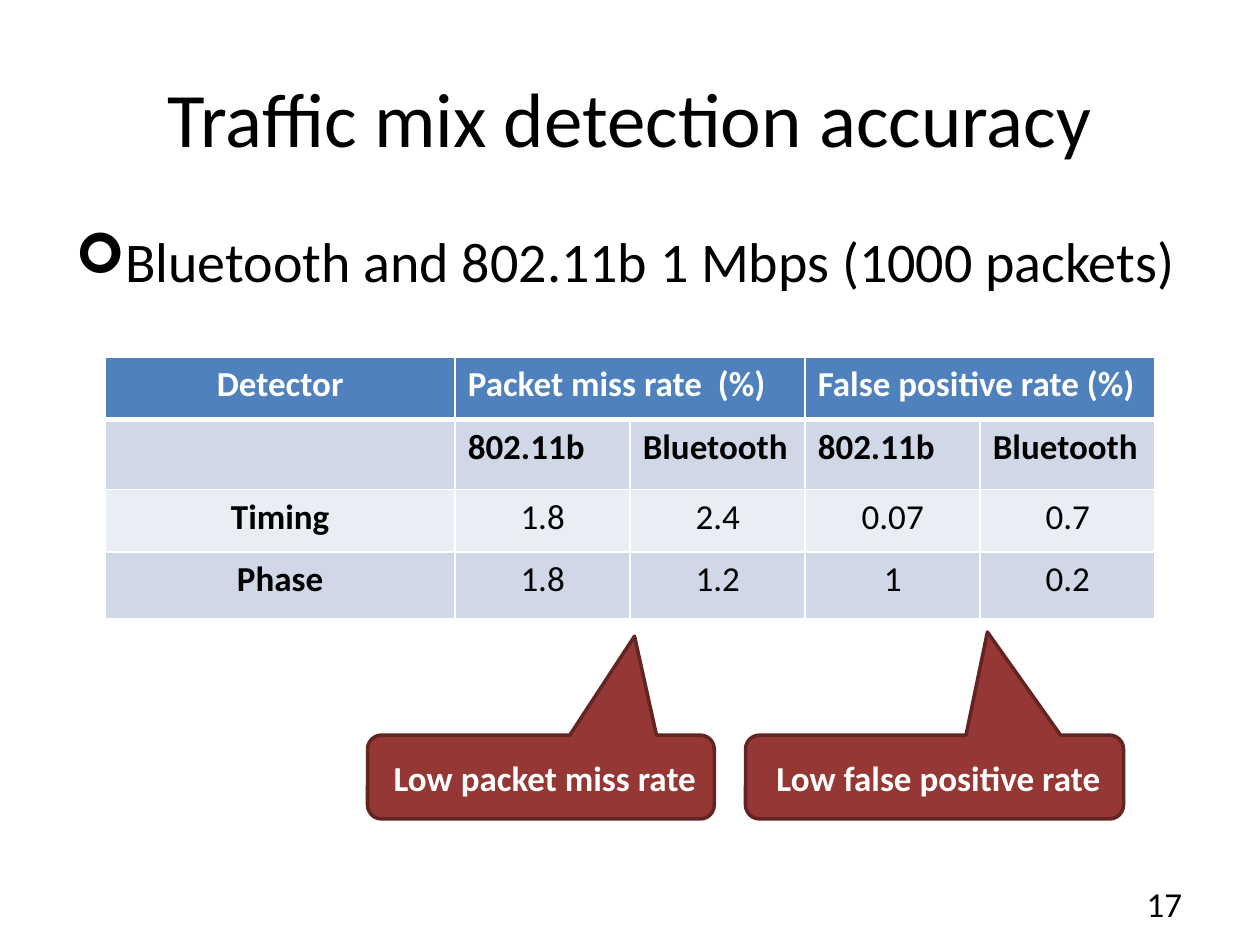
from lxml.etree import SubElement
from pptx import Presentation
from pptx.dml.color import RGBColor
from pptx.enum.shapes import MSO_SHAPE as Shape
from pptx.enum.text import MSO_ANCHOR as Anchor, PP_ALIGN as Align
from pptx.oxml.ns import qn
from pptx.util import Cm, Pt

FONT = "Calibri"
BLACK = RGBColor(0x00, 0x00, 0x00)
WHITE = RGBColor(0xFF, 0xFF, 0xFF)
HEADER_BLUE = RGBColor(0x4F, 0x81, 0xBD)
BAND_DARK = RGBColor(0xD0, 0xD8, 0xE8)
BAND_LIGHT = RGBColor(0xE9, 0xED, 0xF4)
CALLOUT_RED = RGBColor(0x95, 0x37, 0x35)
CALLOUT_EDGE = RGBColor(0x63, 0x25, 0x23)

HEADER = ["Detector", "Packet miss rate  (%)", "", "False positive rate (%)", ""]
SUBHEADER = ["", "802.11b", "Bluetooth", "802.11b", "Bluetooth"]
RESULTS = [
    ["Timing", "1.8", "2.4", "0.07", "0.7"],
    ["Phase", "1.8", "1.2", "1", "0.2"],
]
ROW_HEIGHTS = [1.26, 1.41, 1.26, 1.35]
ROW_FILLS = [HEADER_BLUE, BAND_DARK, BAND_LIGHT, BAND_DARK]


def write(frame, text, size, color=BLACK, bold=False, align=Align.LEFT):
    """Put one formatted run in the first paragraph of a text frame."""
    para = frame.paragraphs[0]
    para.alignment = align
    span = para.add_run()
    span.text = text
    span.font.name = FONT
    span.font.size = Pt(size)
    span.font.bold = bold
    span.font.color.rgb = color
    return para


def add_text(page, box, text, size, align=Align.LEFT, anchor=Anchor.TOP):
    frame = page.shapes.add_textbox(*map(Cm, box)).text_frame
    frame.word_wrap = True
    frame.vertical_anchor = anchor
    return write(frame, text, size, align=align)


def add_bullet(page, box, text):
    para = add_text(page, box, text, 32)
    para.space_before = Pt(6.4)
    properties = para._p.get_or_add_pPr()
    properties.set("marL", str(Cm(0.95)))
    properties.set("indent", str(-Cm(0.95)))
    SubElement(properties, qn("a:buFont"), typeface="Wingdings")[:] = []
    SubElement(properties, qn("a:buChar"), char="➢")


def set_borders(cell, bottom):
    """Draw white cell edges; they must come before the fill in the XML."""
    properties = cell._tc.get_or_add_tcPr()
    widths = {"a:lnL": 1, "a:lnR": 1, "a:lnT": 1, "a:lnB": bottom}
    for side, width in widths.items():
        line = SubElement(properties, qn(side), w=str(Pt(width)))
        fill = SubElement(line, qn("a:solidFill"))
        SubElement(fill, qn("a:srgbClr"), val=str(WHITE))


def add_accuracy_table(page, box):
    rows = [HEADER, SUBHEADER, *RESULTS]
    table = page.shapes.add_table(len(rows), len(HEADER), *map(Cm, box)).table

    # The first column is twice as wide as the others
    unit = box[2] / (len(HEADER) + 1)
    for index, column in enumerate(table.columns):
        column.width = Cm(unit * (2 if index == 0 else 1))

    for row, (texts, height, fill) in enumerate(zip(rows, ROW_HEIGHTS, ROW_FILLS)):
        table.rows[row].height = Cm(height)
        for column, text in enumerate(texts):
            cell = table.cell(row, column)
            set_borders(cell, bottom=3 if row == 0 else 1)
            cell.fill.solid()
            cell.fill.fore_color.rgb = fill
            if text:
                centred = column == 0 or row > 1
                write(cell.text_frame, text, 20,
                      color=WHITE if row == 0 else BLACK,
                      bold=column == 0 or row < 2,
                      align=Align.CENTER if centred else Align.LEFT)

    # Each rate heading covers both protocols
    for column in (1, 3):
        table.cell(0, column).merge(table.cell(0, column + 1))


def add_callout(page, box, text, tip):
    """Add a callout; tip is its point as a share of the box from the centre."""
    callout = page.shapes.add_shape(Shape.ROUNDED_RECTANGULAR_CALLOUT, *map(Cm, box))
    callout.shadow.inherit = False
    callout.adjustments[0], callout.adjustments[1] = tip
    callout.fill.solid()
    callout.fill.fore_color.rgb = CALLOUT_RED
    callout.line.color.rgb = CALLOUT_EDGE
    callout.line.width = Pt(2)
    callout.text_frame.word_wrap = True
    callout.text_frame.vertical_anchor = Anchor.MIDDLE
    write(callout.text_frame, text, 20, WHITE, True, Align.CENTER)


def build_accuracy_slide(deck):
    page = deck.slides.add_slide(deck.slide_layouts[6])

    # Title and statement
    add_text(page, (1.27, 0.76, 22.86, 3.18), "Traffic mix detection accuracy",
             44, Align.CENTER, Anchor.MIDDLE)
    add_bullet(page, (1.27, 4.45, 22.86, 12.57),
               "Bluetooth and 802.11b 1 Mbps (1000 packets)")

    # Results
    add_accuracy_table(page, (2.12, 7.2, 21.17, sum(ROW_HEIGHTS)))

    # Page number
    add_text(page, (18.16, 17.7, 5.92, 1.02), "17", 20, Align.RIGHT, Anchor.MIDDLE)

    # Findings under the table
    add_callout(page, (7.41, 14.82, 6.99, 1.69), " Low packet miss rate", (0.27, -1.68))
    add_callout(page, (15.03, 14.82, 7.62, 1.69), " Low false positive rate", (0.14, -1.73))


def main():
    deck = Presentation()
    deck.slide_width, deck.slide_height = Cm(25.4), Cm(19.05)
    build_accuracy_slide(deck)
    deck.save("out.pptx")


if __name__ == "__main__":
    main()
